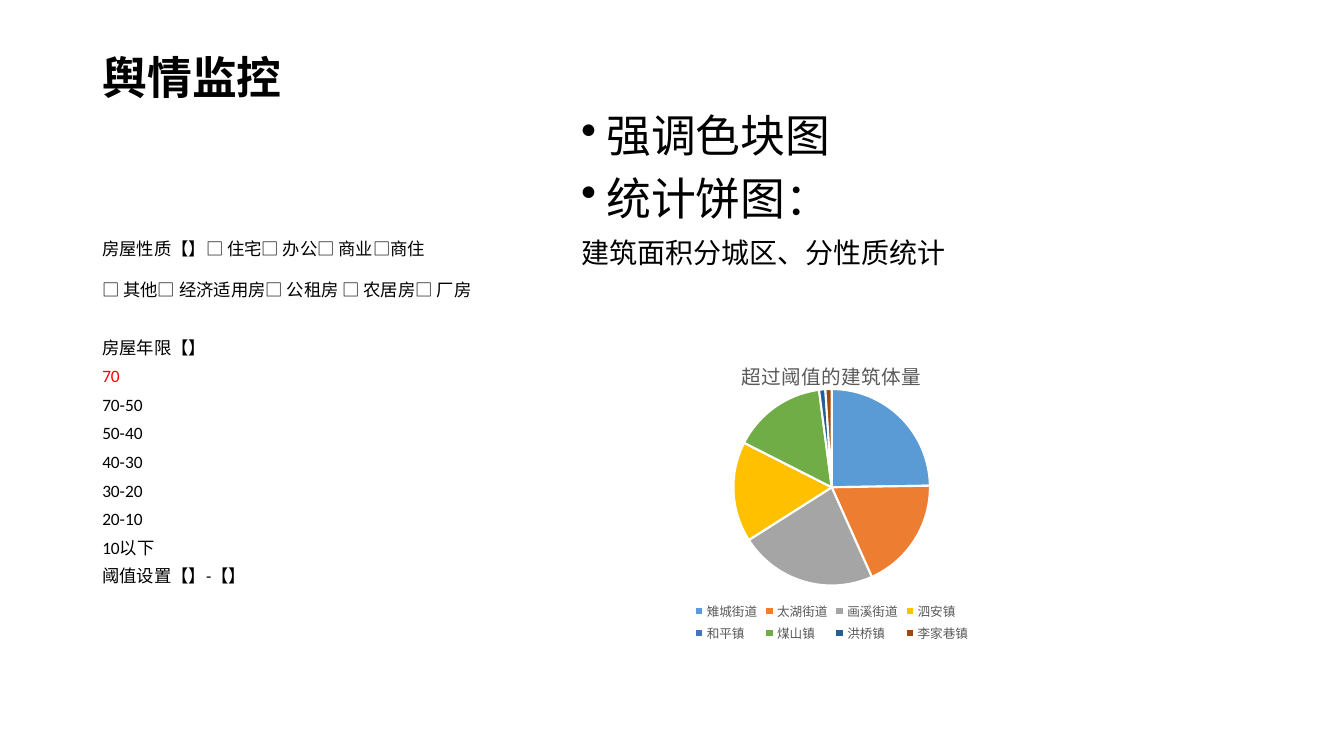
import pptx
import pptx.chart.data
import pptx.dml.color
import pptx.enum.chart
import pptx.enum.text
import pptx.oxml
import pptx.oxml.ns
import pptx.util
from lxml import etree

Pt = pptx.util.Pt
RGB = pptx.dml.color.RGBColor

FONT = "Calibri"
BLACK = RGB(0x00, 0x00, 0x00)
RED = RGB(0xFF, 0x00, 0x00)
GREY = RGB(0x59, 0x59, 0x59)
WHITE = RGB(0xFF, 0xFF, 0xFF)

HOUSE_TYPES = ["房屋性质【】□ 住宅□ 办公□ 商业□商住",
               "□ 其他□ 经济适用房□ 公租房 □ 农居房□ 厂房"]
AGE_BANDS = ["70-50", "50-40", "40-30", "30-20", "20-10", "10以下"]
# Town, share above the threshold, slice colour
TOWNS = [
    ("雉城街道", 24, RGB(0x5B, 0x9B, 0xD5)),
    ("太湖街道", 18, RGB(0xED, 0x7D, 0x31)),
    ("画溪街道", 22, RGB(0xA5, 0xA5, 0xA5)),
    ("泗安镇", 16, RGB(0xFF, 0xC0, 0x00)),
    ("和平镇", 0, RGB(0x44, 0x72, 0xC4)),
    ("煤山镇", 15, RGB(0x70, 0xAD, 0x47)),
    ("洪桥镇", 1, RGB(0x25, 0x5E, 0x91)),
    ("李家巷镇", 1, RGB(0x9E, 0x48, 0x0E)),
]


def style_font(font, size, color=BLACK, bold=False):
    font.name, font.size, font.bold = FONT, Pt(size), bold
    font.color.rgb = color


def add_text_area(slide, left, top, width, height):
    frame = slide.shapes.add_textbox(Pt(left), Pt(top), Pt(width), Pt(height)).text_frame
    frame.word_wrap = True
    return frame


def add_line(frame, text, size, spacing, color=BLACK, before=10, bullet=False):
    line = frame.paragraphs[0]
    if line.text:
        line = frame.add_paragraph()
    line.text = text
    line.line_spacing = spacing
    line.space_before = Pt(before)
    style_font(line.font, size, color)
    if bullet:
        props = line._p.get_or_add_pPr()
        props.set("marL", str(Pt(18)))
        props.set("indent", str(-Pt(18)))
        mark = pptx.oxml.parse_xml(
            '<a:buChar %s char="•"/>' % pptx.oxml.ns.nsdecls("a"))
        props.insert_element_before(mark, "a:tabLst", "a:defRPr", "a:extLst")


def set_title(slide, text):
    title = slide.shapes.title
    title.left, title.top, title.width, title.height = Pt(66), Pt(36), Pt(310), Pt(126)
    frame = title.text_frame
    frame.text = text
    frame.auto_size = pptx.enum.text.MSO_AUTO_SIZE.NONE
    frame.vertical_anchor = pptx.enum.text.MSO_ANCHOR.TOP
    heading = frame.paragraphs[0]
    heading.alignment = pptx.enum.text.PP_ALIGN.LEFT
    heading.line_spacing = 0.9
    style_font(heading.font, 32, bold=True)


def set_plot_layout(chart, x, y, w, h):
    plot_area = chart._chartSpace.chart.plotArea
    for old in plot_area.findall(pptx.oxml.ns.qn("c:layout")):
        plot_area.remove(old)
    layout = etree.Element(pptx.oxml.ns.qn("c:layout"))
    manual = etree.SubElement(layout, pptx.oxml.ns.qn("c:manualLayout"))
    settings = [("layoutTarget", "inner"), ("xMode", "edge"), ("yMode", "edge"),
                ("x", x), ("y", y), ("w", w), ("h", h)]
    for tag, value in settings:
        etree.SubElement(manual, pptx.oxml.ns.qn("c:" + tag)).set("val", str(value))
    plot_area.insert(0, layout)


def add_pie(slide, title, towns, left, top, width, height):
    data = pptx.chart.data.CategoryChartData()
    data.categories = [name for name, _, _ in towns]
    data.add_series("Series 1", [share for _, share, _ in towns])
    chart = slide.shapes.add_chart(
        pptx.enum.chart.XL_CHART_TYPE.PIE,
        Pt(left), Pt(top), Pt(width), Pt(height), data).chart
    style_font(chart.font, 10)

    chart.has_title = True
    chart.chart_title.text_frame.text = title
    style_font(chart.chart_title.text_frame.paragraphs[0].font, 14, GREY)

    chart.has_legend = True
    chart.legend.position = pptx.enum.chart.XL_LEGEND_POSITION.BOTTOM
    chart.legend.include_in_layout = False
    style_font(chart.legend.font, 9, GREY)

    set_plot_layout(chart, 0, 0.15, 1, 0.65)
    pie = chart.plots[0]
    pie.vary_by_categories = True
    for index, (_, _, color) in enumerate(towns):
        town_slice = pie.series[0].points[index].format
        town_slice.fill.solid()
        town_slice.fill.fore_color.rgb = color
        town_slice.line.color.rgb = WHITE
        town_slice.line.width = Pt(1.5)


def main():
    deck = pptx.Presentation()
    deck.slide_width, deck.slide_height = Pt(960), Pt(540)
    slide = deck.slides.add_slide(deck.slide_layouts[5])
    set_title(slide, "舆情监控")

    # Chart notes on the right
    notes = add_text_area(slide, 408, 78, 486, 384)
    for topic in ("强调色块图", "统计饼图："):
        add_line(notes, topic, 32, 0.9, bullet=True)
    add_line(notes, "建筑面积分城区、分性质统计", 20, 0.9)

    # Filter form on the left
    filters = add_text_area(slide, 66, 162, 310, 300)
    for row in HOUSE_TYPES:
        add_line(filters, row, 12.4, 1.3)
    add_line(filters, "房屋年限【】", 12.4, 0.7, before=30.5)
    add_line(filters, "70", 12.4, 0.7, RED)
    for row in AGE_BANDS + ["阈值设置【】-【】"]:
        add_line(filters, row, 12.4, 0.7)

    # Share of buildings above the threshold
    add_pie(slide, "超过阈值的建筑体量", TOWNS, 453.6, 245.5, 281, 216)

    deck.save("out.pptx")


main()
